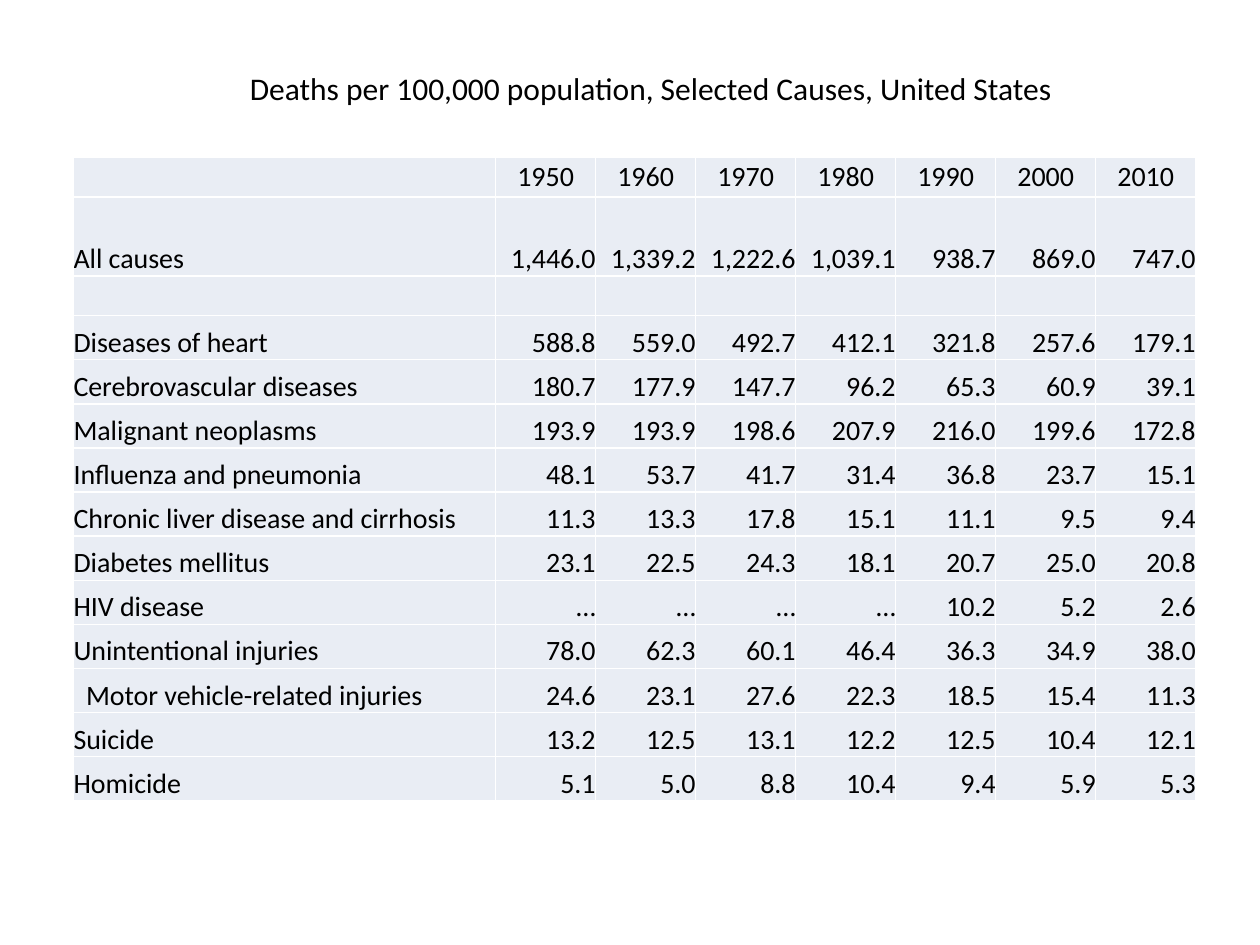
from dataclasses import dataclass

from lxml import etree
from pptx import Presentation
from pptx.dml.color import RGBColor
from pptx.enum.text import MSO_ANCHOR, PP_ALIGN
from pptx.oxml.ns import qn
from pptx.slide import Slide
from pptx.table import Table, _Cell
from pptx.text.text import _Paragraph
from pptx.util import Pt

LEFT, CENTER, RIGHT = PP_ALIGN.LEFT, PP_ALIGN.CENTER, PP_ALIGN.RIGHT
MIDDLE, BOTTOM = MSO_ANCHOR.MIDDLE, MSO_ANCHOR.BOTTOM

FONT = "Calibri"
INK = "000000"
CELL_FILL = "E9EDF4"
GRID = "FFFFFF"
CAUSE_WIDTH, YEAR_WIDTH = 241.2, 57.15
SUBCAUSE_INDENT = 7.2


@dataclass(frozen=True)
class TableRow:
    """One line of the table: its label, its figures and its layout."""

    cause: str = ""
    figures: str = ""
    height: float = 25.2
    align: PP_ALIGN = RIGHT
    anchor: MSO_ANCHOR = BOTTOM
    indent: float = 0


ROWS = [
    TableRow("", "1950 1960 1970 1980 1990 2000 2010", 22.6, CENTER, MIDDLE),
    TableRow("All causes", "1,446.0 1,339.2 1,222.6 1,039.1 938.7 869.0 747.0", 45.2),
    TableRow(height=22.6),
    TableRow("Diseases of heart", "588.8 559.0 492.7 412.1 321.8 257.6 179.1"),
    TableRow("Cerebrovascular diseases", "180.7 177.9 147.7 96.2 65.3 60.9 39.1"),
    TableRow("Malignant neoplasms", "193.9 193.9 198.6 207.9 216.0 199.6 172.8"),
    TableRow("Influenza and pneumonia", "48.1 53.7 41.7 31.4 36.8 23.7 15.1"),
    TableRow("Chronic liver disease and cirrhosis", "11.3 13.3 17.8 15.1 11.1 9.5 9.4"),
    TableRow("Diabetes mellitus", "23.1 22.5 24.3 18.1 20.7 25.0 20.8"),
    TableRow("HIV disease", "… … … … 10.2 5.2 2.6"),
    TableRow("Unintentional injuries", "78.0 62.3 60.1 46.4 36.3 34.9 38.0"),
    TableRow("Motor vehicle-related injuries", "24.6 23.1 27.6 22.3 18.5 15.4 11.3",
             indent=SUBCAUSE_INDENT),
    TableRow("Suicide", "13.2 12.5 13.1 12.2 12.5 10.4 12.1"),
    TableRow("Homicide", "5.1 5.0 8.8 10.4 9.4 5.9 5.3"),
]
YEAR_COUNT = len(ROWS[0].figures.split())


def color(hex_code: str) -> RGBColor:
    """Turn a hex string into a colour."""
    return RGBColor.from_string(hex_code)


def write(paragraph: _Paragraph, text: str, size: float, align: PP_ALIGN) -> None:
    """Put styled text into a paragraph."""
    paragraph.text = text
    paragraph.alignment = align
    paragraph.font.name = FONT
    paragraph.font.size = Pt(size)
    paragraph.font.bold = False
    paragraph.font.color.rgb = color(INK)


def add_borders(cell: _Cell) -> None:
    """Draw the thin grid line on all four sides of a cell."""
    properties = cell._tc.get_or_add_tcPr()
    for position, side in enumerate(("lnL", "lnR", "lnT", "lnB")):
        line = etree.Element(qn(f"a:{side}"), w=str(Pt(1)))
        fill = etree.SubElement(line, qn("a:solidFill"))
        etree.SubElement(fill, qn("a:srgbClr"), val=GRID)
        properties.insert(position, line)


def fill_cell(cell: _Cell, text: str, align: PP_ALIGN, anchor: MSO_ANCHOR,
              indent: float = 0) -> None:
    """Write one cell without margins and give it fill and borders."""
    cell.margin_left = cell.margin_right = cell.margin_top = cell.margin_bottom = 0
    cell.vertical_anchor = anchor
    cell.fill.solid()
    cell.fill.fore_color.rgb = color(CELL_FILL)
    add_borders(cell)
    paragraph = cell.text_frame.paragraphs[0]
    write(paragraph, text, 16, align)
    if indent:
        paragraph._p.get_or_add_pPr().set("marL", str(Pt(indent)))


def fill_row(table: Table, index: int, row: TableRow) -> None:
    """Fill one table row with its cause and its figures."""
    table.rows[index].height = Pt(row.height)
    fill_cell(table.cell(index, 0), row.cause, LEFT, row.anchor, row.indent)
    figures = row.figures.split() or [""] * YEAR_COUNT
    for column, figure in enumerate(figures, start=1):
        fill_cell(table.cell(index, column), figure, row.align, row.anchor)


def add_death_rates(slide: Slide) -> None:
    """Add the table of death rates by cause and year."""
    widths = [CAUSE_WIDTH] + [YEAR_WIDTH] * YEAR_COUNT
    height = sum(row.height for row in ROWS)
    table = slide.shapes.add_table(len(ROWS), len(widths), Pt(42), Pt(90),
                                   Pt(sum(widths)), Pt(height)).table
    table.first_row = False
    table.horz_banding = False
    for column, width in zip(table.columns, widths):
        column.width = Pt(width)
    for index, row in enumerate(ROWS):
        fill_row(table, index, row)


def add_heading(slide: Slide) -> None:
    """Add the heading above the table."""
    heading = slide.shapes.add_textbox(Pt(126), Pt(36), Pt(492), Pt(29)).text_frame
    heading.word_wrap = True
    write(heading.paragraphs[0],
          "Deaths per 100,000 population, Selected Causes, United States", 18, CENTER)


def main() -> None:
    """Build and save the slide."""
    presentation = Presentation()
    presentation.slide_width, presentation.slide_height = Pt(720), Pt(540)
    slide = presentation.slides.add_slide(presentation.slide_layouts[6])
    add_death_rates(slide)
    add_heading(slide)
    presentation.save("out.pptx")


if __name__ == "__main__":
    main()
